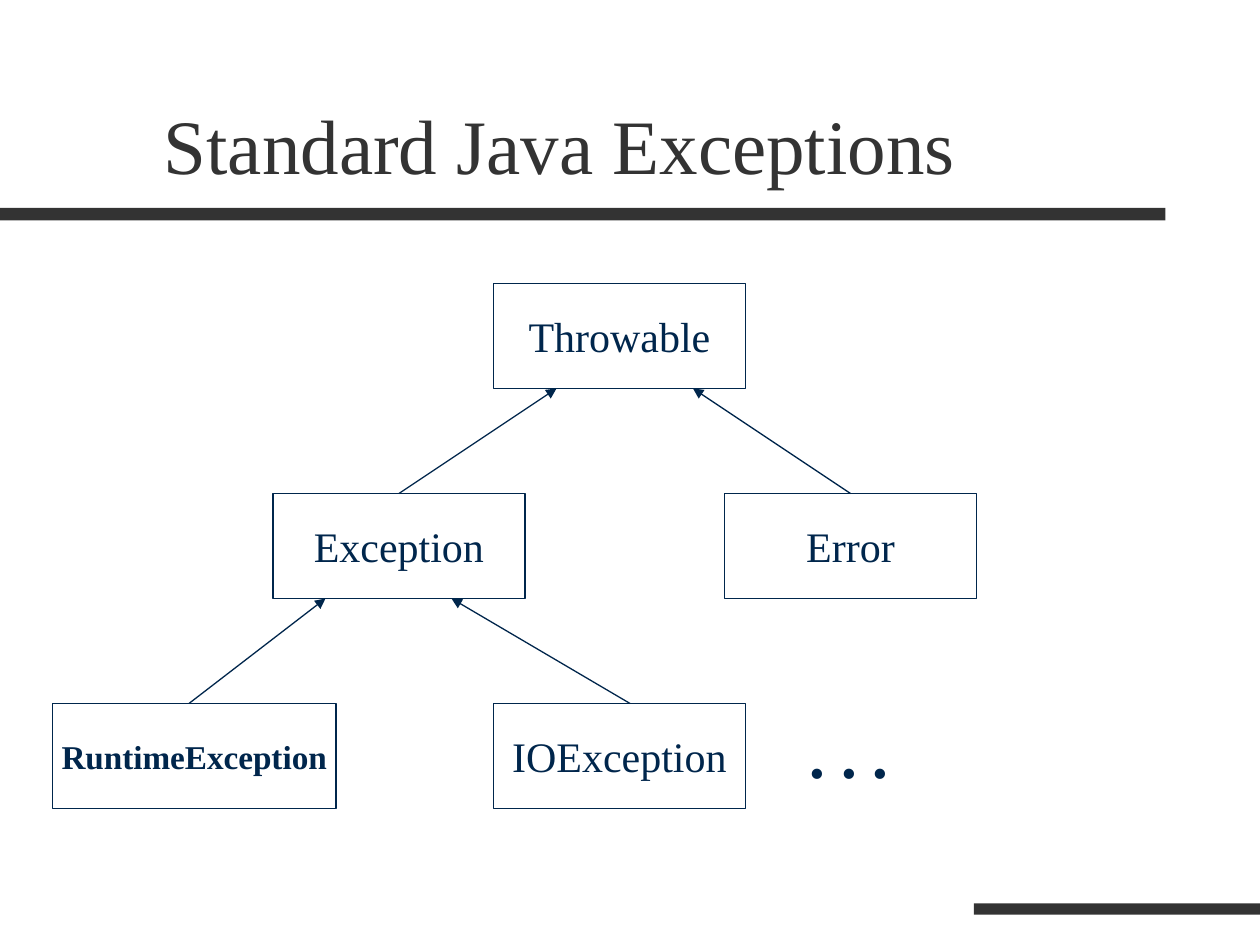
from pptx import Presentation
from pptx.dml.color import RGBColor
from pptx.enum.shapes import MSO_CONNECTOR as CONN, MSO_SHAPE as SHAPE
from pptx.enum.text import MSO_ANCHOR as ANCHOR, MSO_AUTO_SIZE as FIT, PP_ALIGN as ALIGN
from pptx.oxml.ns import qn
from pptx.util import Inches, Pt
from lxml.etree import SubElement

COLORS = {"bar": "333333", "ink": "00264C"}
FONT = "Times New Roman"

# The diagram sits on a grid of 1/12 inch cells
CELL = Inches(1) // 12
BOX_H = 10
LEVELS = [27, 47, 67]

# Class name: level, left column, width in columns, text format
NORMAL = {"size": Pt(24)}
SMALL = {"size": Pt(19), "bold": True}
CLASSES = {
    "Throwable": (0, 47, 24, NORMAL),
    "Exception": (1, 26, 24, NORMAL),
    "Error": (1, 69, 24, NORMAL),
    "RuntimeException": (2, 5, 27, SMALL),
    "IOException": (2, 47, 24, NORMAL),
}

# Level of the subclass, its column, column on the superclass
ARROWS = [(2, 18, 31), (2, 60, 43), (1, 38, 53), (1, 81, 66)]


def rgb(name):
    return RGBColor.from_string(COLORS[name])


def write(tf, text, color, align, **fmt):
    p = tf.paragraphs[0]
    p.alignment = align
    r = p.add_run()
    r.text = text
    r.font.color.rgb = rgb(color)
    for key, value in {"name": FONT, **fmt}.items():
        setattr(r.font, key, value)


def add_title(s, text):
    sp = s.shapes.title
    sp.left, sp.top, sp.width, sp.height = map(Inches, (1.2, 0.31, 8.5, 1.25))
    tf = sp.text_frame
    tf.auto_size = FIT.NONE
    tf.vertical_anchor = ANCHOR.BOTTOM
    write(tf, text, "bar", ALIGN.LEFT, size=Pt(44))


def add_bar(s, *place):
    sp = s.shapes.add_shape(SHAPE.RECTANGLE, *map(Inches, place))
    sp.shadow.inherit = False
    sp.fill.solid()
    sp.fill.fore_color.rgb = rgb("bar")
    sp.line.fill.background()


def add_class(s, name, level, col, cols, fmt):
    place = (col, LEVELS[level], cols, BOX_H)
    sp = s.shapes.add_shape(SHAPE.RECTANGLE, *(n * CELL for n in place))
    sp.shadow.inherit = False
    sp.fill.background()
    sp.line.color.rgb = rgb("ink")
    sp.line.width = Pt(0.75)
    tf = sp.text_frame
    tf.word_wrap = False
    tf.vertical_anchor = ANCHOR.MIDDLE
    write(tf, name, "ink", ALIGN.CENTER, **fmt)


def add_arrow(s, level, start, end):
    points = (start, LEVELS[level], end, LEVELS[level - 1] + BOX_H)
    c = s.shapes.add_connector(CONN.STRAIGHT, *(n * CELL for n in points))
    c.line.color.rgb = rgb("ink")
    c.line.width = Pt(0.75)
    SubElement(c.line._get_or_add_ln(), qn("a:tailEnd"), type="triangle")
    SubElement(c._element.spPr, qn("a:effectLst"))


def add_dots(s):
    sp = s.shapes.add_textbox(*map(Inches, (6.33, 5.63, 1.33, 0.7)))
    tf = sp.text_frame
    tf.word_wrap = True
    tf.auto_size = FIT.SHAPE_TO_FIT_TEXT
    write(tf, ". . .", "ink", ALIGN.LEFT, size=Pt(36), bold=True)


def main():
    prs = Presentation()
    prs.slide_width, prs.slide_height = Inches(10), Inches(7.5)
    s = prs.slides.add_slide(prs.slide_layouts[5])

    # Title and decorative bars
    add_bar(s, 0, 1.65, 9.25, 0.1)
    add_bar(s, 7.73, 7.17, 2.27, 0.09)
    add_title(s, "Standard Java Exceptions")

    # Class tree
    for name, place in CLASSES.items():
        add_class(s, name, *place)
    add_dots(s)
    for arrow in ARROWS:
        add_arrow(s, *arrow)

    prs.save("out.pptx")


if __name__ == "__main__":
    main()
